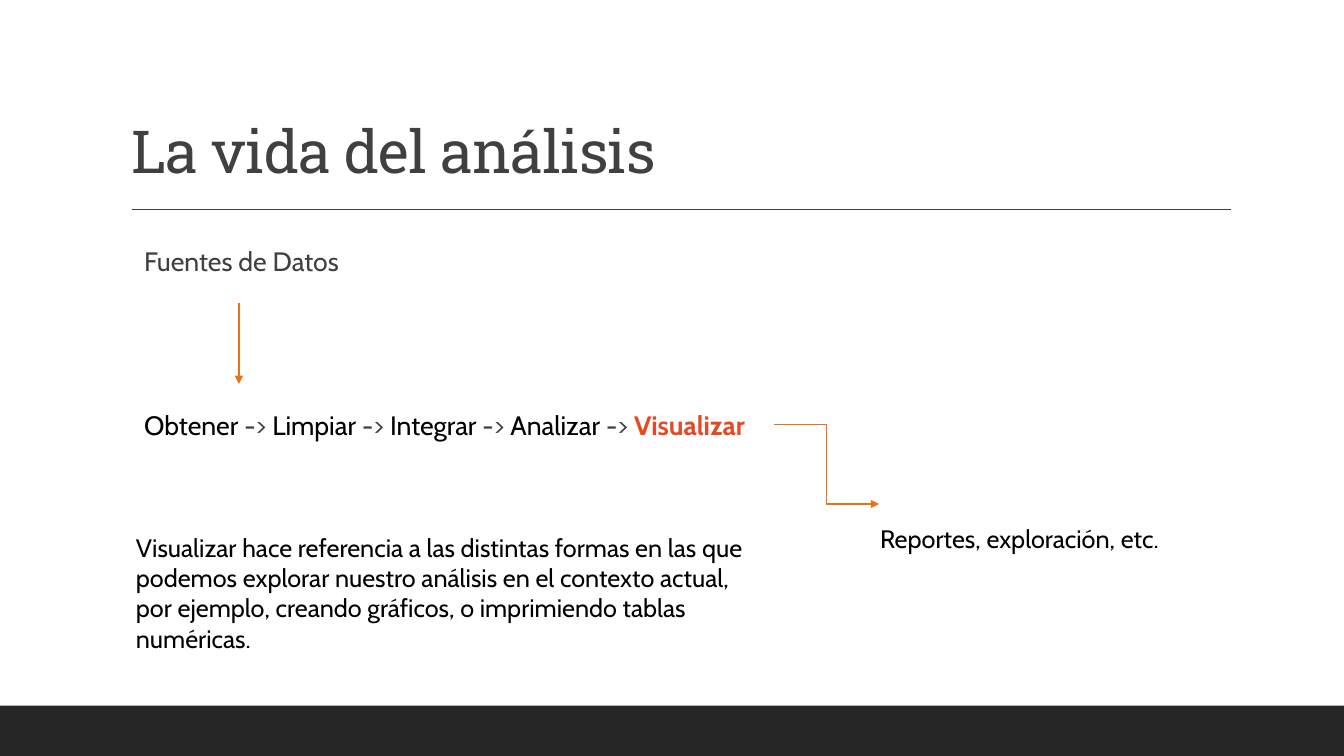
from lxml.etree import SubElement
from pptx import Presentation
from pptx.dml.color import RGBColor
from pptx.enum.shapes import MSO_CONNECTOR, MSO_SHAPE
from pptx.enum.text import MSO_ANCHOR, MSO_AUTO_SIZE, PP_ALIGN
from pptx.oxml.ns import qn
from pptx.util import Inches, Pt

BLACK = RGBColor(0x00, 0x00, 0x00)
GRAY = RGBColor(0x40, 0x40, 0x40)
DARK = RGBColor(0x26, 0x26, 0x26)
ORANGE = RGBColor(0xEC, 0x70, 0x16)
RED = RGBColor(0xE6, 0x48, 0x23)

TITLE = "La vida del análisis"
SOURCES = "Fuentes de Datos"
STEPS = ["Obtener", "Limpiar", "Integrar", "Analizar"]
FINAL_STEP = "Visualizar"
OUTPUTS = "Reportes, exploración, etc."
EXPLANATION = (
    "Visualizar hace referencia a las distintas formas en las que podemos "
    "explorar nuestro análisis en el contexto actual, por ejemplo, creando "
    "gráficos, o imprimiendo tablas numéricas."
)

FLOW = {"size": Pt(19), "name": "Cabin"}
NOTE = {"size": Pt(18), "name": "Cabin", "color": BLACK}
FLOW_FRAME = {"margin_left": 0, "margin_right": 0, "word_wrap": True}
RULE = {"color": GRAY, "arrow": False}
ARROW = {"color": ORANGE, "arrow": True}

step_runs = []
for step in STEPS:
    step_runs += [(step, FLOW | {"color": BLACK}), (" -> ", FLOW | {"color": GRAY})]
step_runs.append((FINAL_STEP, FLOW | {"color": RED, "bold": True}))

# position, runs, frame settings, line spacing
TEXTS = [
    ((1.43, 2.35, 10.36, 0.5), [(SOURCES, FLOW | {"color": GRAY})], FLOW_FRAME, 1.1),
    ((1.43, 3.98, 6.2, 0.5), step_runs, FLOW_FRAME, 1.1),
    ((8.63, 5.14, 3.02, 0.4), [(OUTPUTS, NOTE)], {"word_wrap": False}, 1.0),
    ((1.25, 5.23, 6.48, 1.31), [(EXPLANATION, NOTE)], {"word_wrap": True}, 1.0),
]
# kind, start, end, style
LINES = [
    (MSO_CONNECTOR.STRAIGHT, (1.31, 2.08), (12.21, 2.08), RULE),
    (MSO_CONNECTOR.STRAIGHT, (2.37, 3.01), (2.37, 3.81), ARROW),
    (MSO_CONNECTOR.ELBOW, (7.68, 4.21), (8.72, 5), ARROW),
]


def inches(values):
    return [Inches(value) for value in values]


def set_all(target, settings):
    for attribute, value in settings.items():
        setattr(target, attribute, value)


def add_run(paragraph, words, style):
    run = paragraph.add_run()
    run.text = words
    set_all(run.font, {key: value for key, value in style.items() if key != "color"})
    run.font.color.rgb = style["color"]
    return run


def add_text(slide, box, runs, frame_settings, line_spacing):
    frame = slide.shapes.add_textbox(*inches(box)).text_frame
    set_all(frame, frame_settings)
    paragraph = frame.paragraphs[0]
    paragraph.line_spacing = line_spacing
    for words, style in runs:
        add_run(paragraph, words, style)


def add_line(slide, kind, start, end, style):
    line = slide.shapes.add_connector(kind, *inches(start + end))
    line.line.color.rgb = style["color"]
    line.line.width = Pt(1)
    if style["arrow"]:
        SubElement(line.line._get_or_add_ln(), qn("a:tailEnd"), type="triangle")
    SubElement(line._element.spPr, qn("a:effectLst"))


def format_title(title):
    box = inches((1.2, 1.36, 8.84, 0.54))
    set_all(title, dict(zip(("left", "top", "width", "height"), box)))
    frame = title.text_frame
    set_all(frame, {"vertical_anchor": MSO_ANCHOR.BOTTOM, "word_wrap": True,
                    "auto_size": MSO_AUTO_SIZE.NONE})
    paragraph = frame.paragraphs[0]
    set_all(paragraph, {"alignment": PP_ALIGN.LEFT, "line_spacing": 0.9})
    run = add_run(paragraph, TITLE,
                  {"size": Pt(42.3), "name": "Roboto Slab", "color": GRAY})
    run.font._element.set("spc", "-50")


def add_footer_band(slide):
    band = slide.shapes.add_shape(MSO_SHAPE.RECTANGLE, *inches((0, 7, 13.33, 0.5)))
    band.shadow.inherit = False
    band.fill.solid()
    band.fill.fore_color.rgb = DARK
    band.line.fill.background()


def main():
    deck = Presentation()
    deck.slide_width, deck.slide_height = inches((13.33, 7.5))
    slide = deck.slides.add_slide(deck.slide_layouts[5])
    add_footer_band(slide)
    format_title(slide.shapes.title)
    for line in LINES:
        add_line(slide, *line)
    for text in TEXTS:
        add_text(slide, *text)
    deck.save("out.pptx")


if __name__ == "__main__":
    main()
